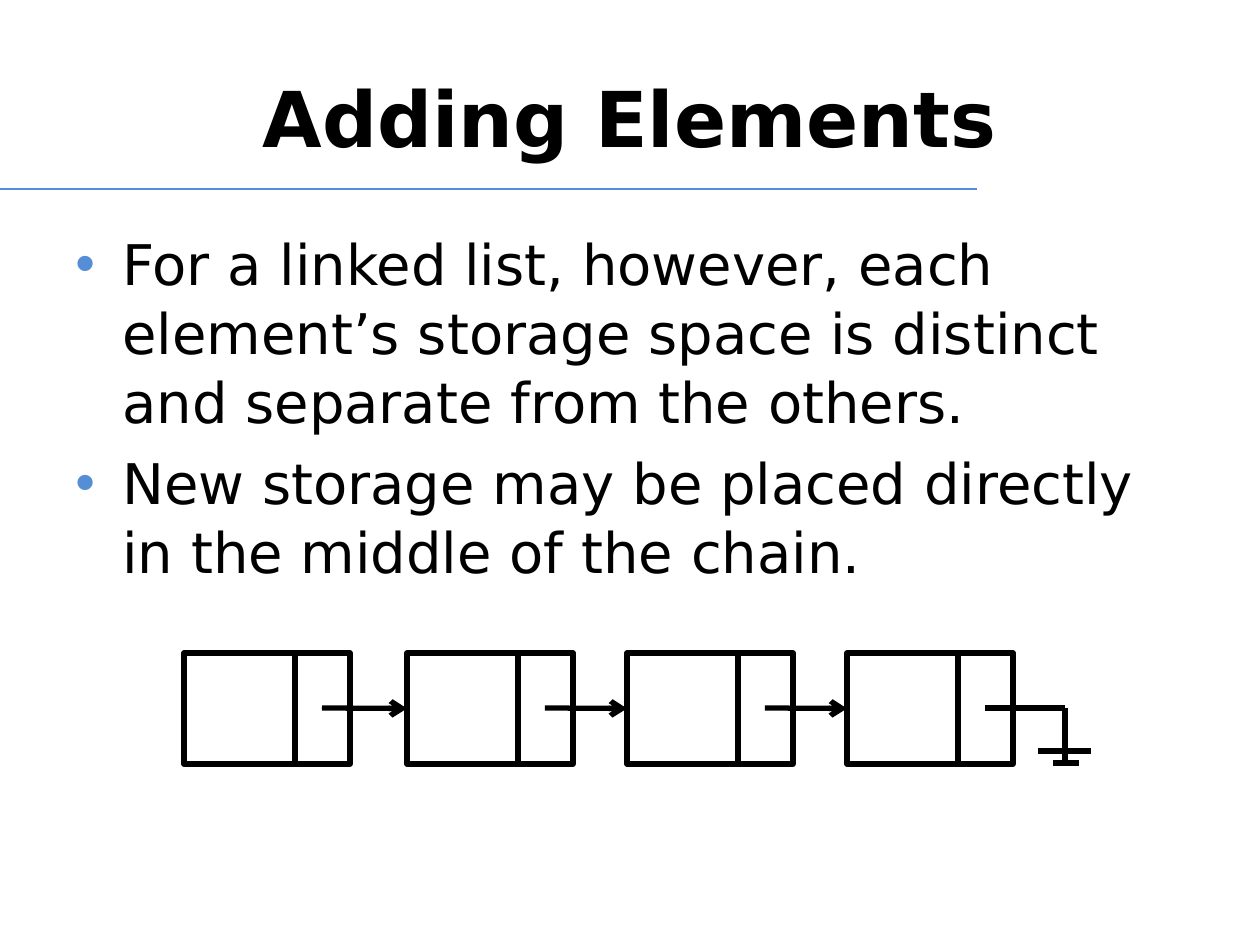
from lxml import etree
from pptx import Presentation, util as u
from pptx.dml.color import RGBColor
from pptx.enum import shapes as s, text as t
from pptx.oxml.ns import qn

PX = u.Inches(1) / 126
FONT = "DejaVu Sans"
HUES = {"ink": "000000", "paper": "FFFFFF", "accent": "558ED5"}
TITLE = "Adding Elements"
POINTS = [
    "For a linked list, however, each element’s storage space is distinct "
    "and separate from the others.",
    "New storage may be placed directly in the middle of the chain.",
]


def px(n):
    return u.Emu(round(n * PX))


def hue(name):
    return RGBColor.from_string(HUES[name])


def add_line(slide, x1, y1, x2, y2, color="ink", width=3):
    line = slide.shapes.add_connector(
        s.MSO_CONNECTOR.STRAIGHT, px(x1), px(y1), px(x2), px(y2))
    line.line.color.rgb = hue(color)
    line.line.width = u.Pt(width)
    etree.SubElement(line._element.spPr, qn("a:effectLst"))
    return line


def add_arrow(slide, x, y, node):
    """Draw an arrow from a point to the left side of a node."""
    line = add_line(slide, x, y, x + 1, y)
    line.end_connect(node, 1)
    tail = etree.SubElement(line.line._get_or_add_ln(), qn("a:tailEnd"))
    tail.set("type", "arrow")


def add_rect(slide, x, y, w, h):
    rect = slide.shapes.add_shape(
        s.MSO_SHAPE.RECTANGLE, px(x), px(y), px(w), px(h))
    rect.shadow.inherit = False
    rect.fill.solid()
    rect.fill.fore_color.rgb = hue("paper")
    rect.line.color.rgb = hue("ink")
    rect.line.width = u.Pt(3)
    return rect


def add_text(slide, x, y, w, h, lines, size, bold=False):
    frame = slide.shapes.add_textbox(px(x), px(y), px(w), px(h)).text_frame
    frame.word_wrap = True
    frame.text = "\n".join(lines)
    for para in frame.paragraphs:
        para.font.name = FONT
        para.font.size = u.Pt(size)
        para.font.bold = bold
        para.font.color.rgb = hue("ink")
    return frame


def add_title(slide, x, y, w, h):
    frame = add_text(slide, x, y, w, h, [TITLE], 44, True)
    frame.vertical_anchor = t.MSO_ANCHOR.MIDDLE
    frame.paragraphs[0].alignment = t.PP_ALIGN.CENTER


def add_points(slide, x, y, w, h):
    frame = add_text(slide, x, y, w, h, POINTS, 32)
    for para in frame.paragraphs:
        para.space_before = u.Pt(6.4)
        para.line_spacing = 1.03
        props = para._p.get_or_add_pPr()
        props.set("marL", str(px(47)))
        props.set("indent", str(-px(47)))
        color = etree.SubElement(props, qn("a:buClr"))
        etree.SubElement(color, qn("a:srgbClr")).set("val", HUES["accent"])
        etree.SubElement(props, qn("a:buFont")).set("typeface", "Arial")
        etree.SubElement(props, qn("a:buChar")).set("char", "•")
        # The schema puts default run properties after the bullet.
        props.append(props.find(qn("a:defRPr")))


def add_ground(slide, x, y, w, h):
    """Draw the null link: a wire that turns down to two short bars."""
    foot = x + w
    add_line(slide, x, y, foot, y)
    add_line(slide, foot, y, foot, y + h)
    add_line(slide, foot - 27, y + h - 13, foot + 26, y + h - 13)
    add_line(slide, foot - 12, y + h - 1, foot + 14, y + h - 1)


def add_chain(slide, x, y, side):
    """Draw four linked nodes, each a square cell and a half-wide link."""
    lefts = [x + step for step in (0, 223, 443, 663)]
    link = side // 2
    nodes = []
    for left in lefts:
        nodes.append(add_rect(slide, left, y, side, side))
        add_rect(slide, left + side, y, link, side)
    mid = y + side // 2
    starts = [left + side + link // 2 for left in lefts]
    for start, node in zip(starts, nodes[1:]):
        add_arrow(slide, start, mid, node)
    add_ground(slide, starts[-1], mid, 80, 56)


def main():
    deck = Presentation()
    deck.slide_width, deck.slide_height = px(1260), px(945)
    slide = deck.slides.add_slide(deck.slide_layouts[6])
    add_line(slide, 0, 189, 977, 189, "accent", 0.75)
    add_title(slide, 63, 38, 1134, 158)
    add_points(slide, 63, 221, 1134, 624)
    add_chain(slide, 184, 653, 111)
    deck.save("out.pptx")


if __name__ == "__main__":
    main()
